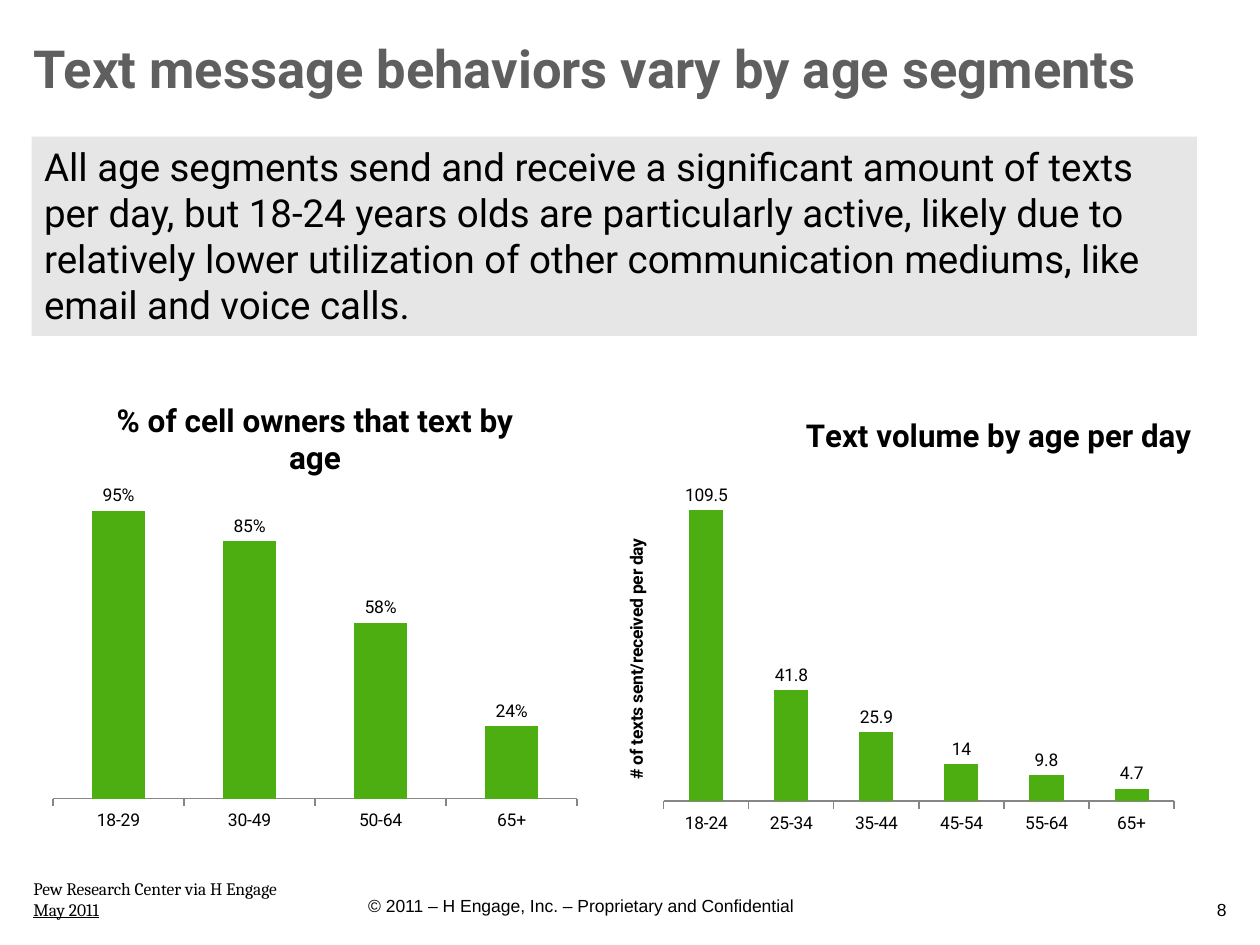
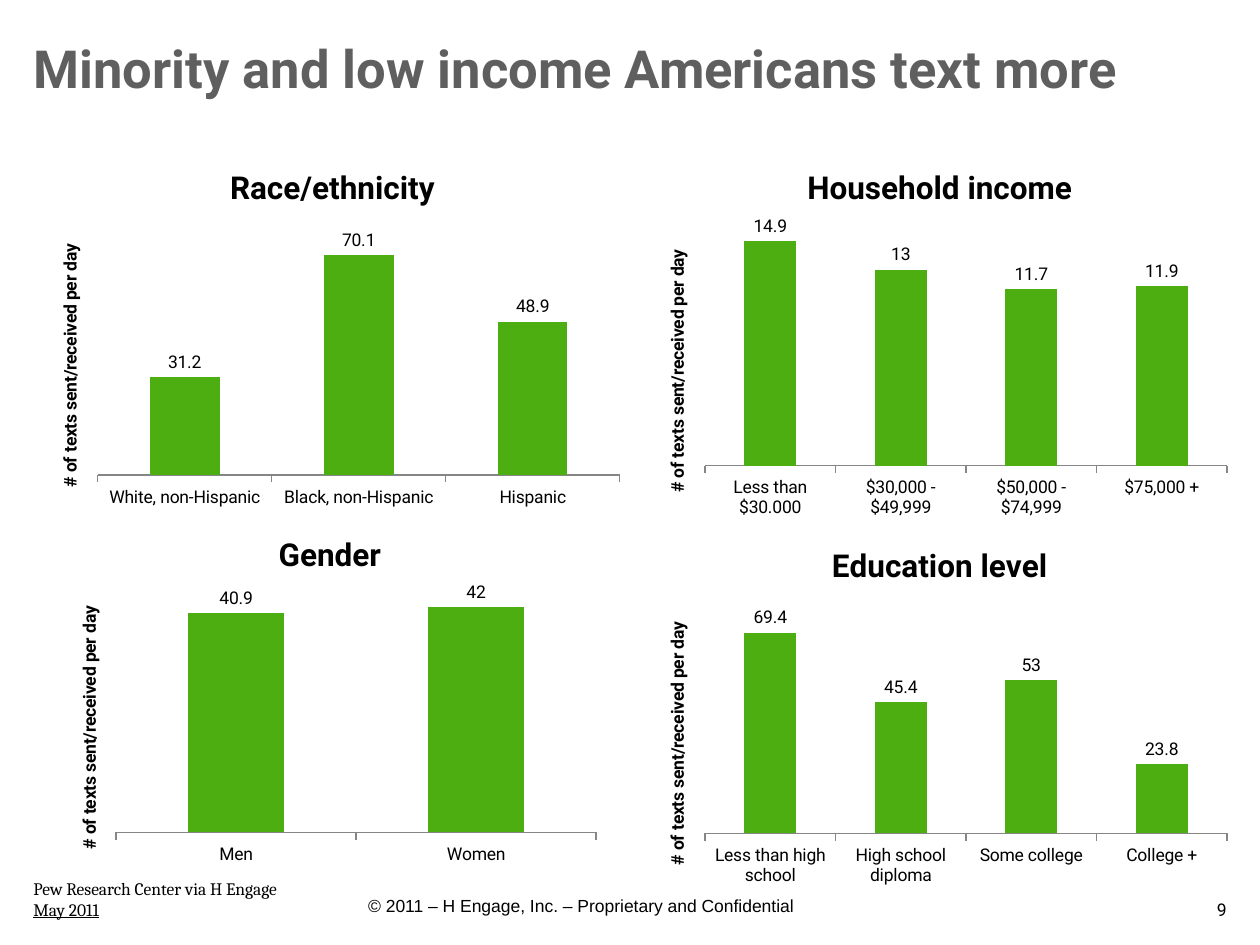
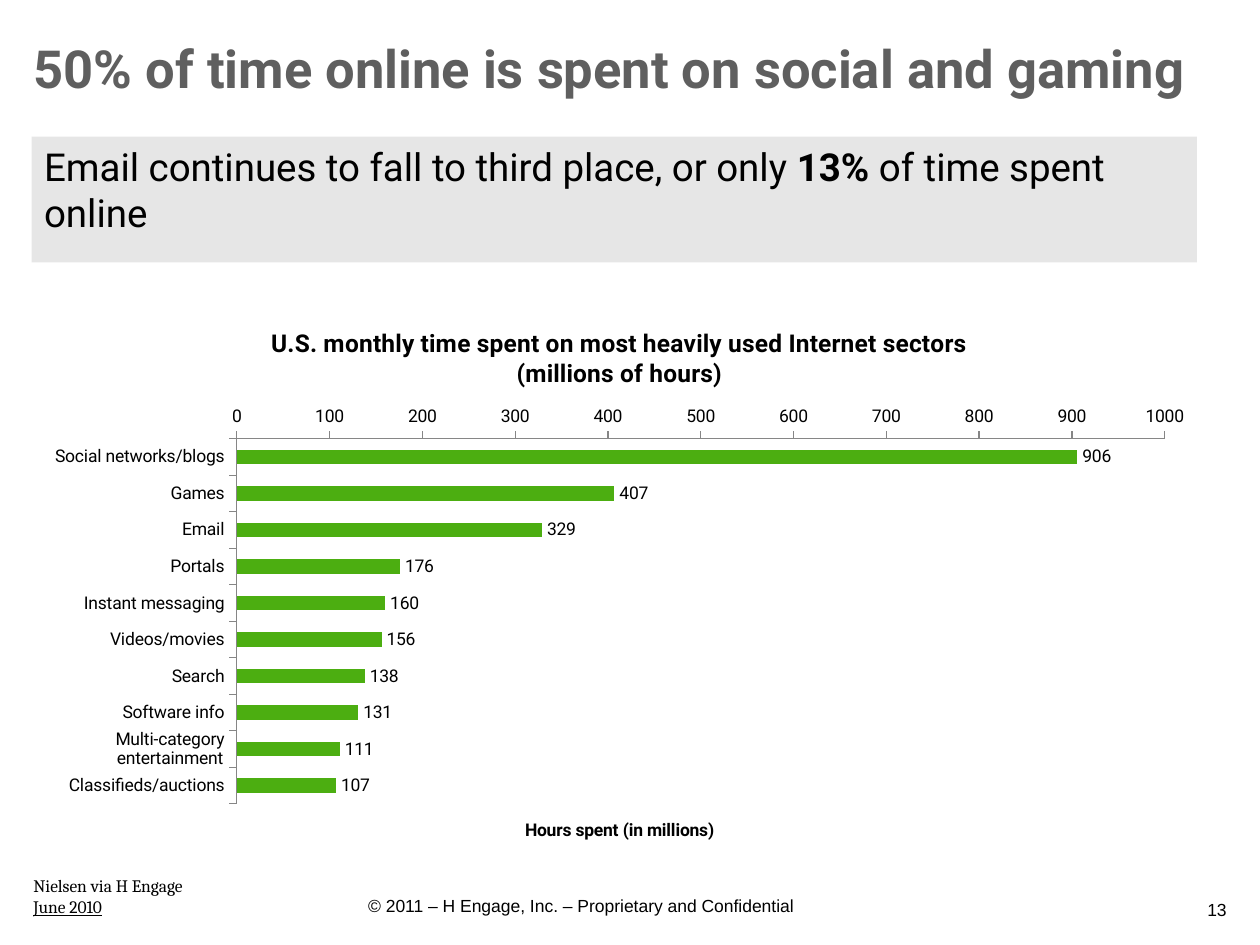
from dataclasses import dataclass
from typing import Optional

from lxml import etree
from pptx import Presentation
from pptx.chart.data import CategoryChartData
from pptx.dml.color import RGBColor
from pptx.enum import chart as ch, text
from pptx.oxml import ns
from pptx.util import Pt

BLACK = RGBColor(0x00, 0x00, 0x00)
TITLE_GRAY = RGBColor(0x5F, 0x5F, 0x5F)
BAND_GRAY = RGBColor(0xE6, 0xE6, 0xE6)
AXIS_GRAY = RGBColor(0x86, 0x86, 0x86)
GREEN = RGBColor(0x4C, 0xAE, 0x11)
ROBOTO, ARIAL, CAMBRIA = "Roboto", "Arial", "Cambria"
TITLE_ONLY, TITLE_AND_BODY = 5, 1
COPYRIGHT = "© 2011 – H Engage, Inc. – Proprietary and Confidential"
PEW = "Pew Research Center via H Engage\nMay 2011"
TEXTS_PER_DAY = "# of texts sent/received per day"


@dataclass(frozen=True)
class Box:
    x: float
    y: float
    w: float
    h: float

    def place(self, sp) -> None:
        sp.left, sp.top, sp.width, sp.height = self.lengths()

    def lengths(self) -> tuple:
        return Pt(self.x), Pt(self.y), Pt(self.w), Pt(self.h)


@dataclass(frozen=True)
class BarChart:
    box: Box
    title: str
    data: dict[str, float]
    axis_title: Optional[str] = TEXTS_PER_DAY
    title_size: int = 18
    number_format: str = "General"
    maximum: Optional[float] = None
    horizontal: bool = False
    title_at: Optional[dict[str, float]] = None
    plot_at: Optional[dict[str, float]] = None


@dataclass(frozen=True)
class Page:
    title: str
    number: str
    source: str
    charts: list[BarChart]
    number_font: str = ARIAL
    source_top: float = 498
    band_height: float = 0
    band: tuple[tuple[str, bool], ...] = ()


def style(font, name: str, size: float, color: RGBColor = BLACK, bold: bool = False) -> None:
    font.name, font.size, font.bold = name, Pt(size), bold
    font.color.rgb = color


def add_text(s, box: Box, content: str, font: str, align=text.PP_ALIGN.LEFT,
             anchor=text.MSO_ANCHOR.TOP, wrap: bool = True):
    sp = s.shapes.add_textbox(*box.lengths())
    tf = sp.text_frame
    tf.text = content
    tf.word_wrap = wrap
    tf.vertical_anchor = anchor
    for p in tf.paragraphs:
        p.alignment = align
        for r in p.runs:
            style(r.font, font, 10)
    return sp


def add_title(s, content: str) -> None:
    sp = s.shapes.title
    Box(12, 12, 696, 48).place(sp)
    tf = sp.text_frame
    tf.text = content
    tf.auto_size = text.MSO_AUTO_SIZE.NONE
    tf.vertical_anchor = text.MSO_ANCHOR.BOTTOM
    p = tf.paragraphs[0]
    p.alignment = text.PP_ALIGN.LEFT
    style(p.runs[0].font, ROBOTO, 30, TITLE_GRAY, True)


def add_band(s, page: Page) -> None:
    sp = s.placeholders[1]
    Box(18, 78, 666, page.band_height).place(sp)
    sp.fill.solid()
    sp.fill.fore_color.rgb = BAND_GRAY
    tf = sp.text_frame
    tf.auto_size = text.MSO_AUTO_SIZE.NONE
    tf.vertical_anchor = text.MSO_ANCHOR.TOP
    p = tf.paragraphs[0]
    pPr = p._p.get_or_add_pPr()
    pPr.set("marL", "0")
    pPr.set("indent", "0")
    etree.SubElement(pPr, ns.qn("a:buNone"))
    p.space_before = Pt(0)
    for content, bold in page.band:
        r = p.add_run()
        r.text = content
        style(r.font, ROBOTO, 22, bold=bold)


def set_layout(parent, values: dict[str, float], inner: bool = False) -> None:
    layout = parent.find(ns.qn("c:layout"))
    if layout is None:
        layout = etree.Element(ns.qn("c:layout"))
        parent.insert(0, layout)
    manual = etree.SubElement(layout, ns.qn("c:manualLayout"))
    settings = {"layoutTarget": "inner"} if inner else {}
    settings |= {"xMode": "edge", "yMode": "edge"} | values
    for tag, value in settings.items():
        etree.SubElement(manual, ns.qn(f"c:{tag}")).set("val", str(value))


def set_chart_text(tf, content: str, size: float) -> None:
    tf.text = content
    for p in tf.paragraphs:
        for r in p.runs:
            style(r.font, ROBOTO, size, bold=True)


def style_axis(axis) -> None:
    axis.has_major_gridlines = False
    axis.major_tick_mark = ch.XL_TICK_MARK.OUTSIDE
    axis.minor_tick_mark = ch.XL_TICK_MARK.NONE
    axis.format.line.color.rgb = AXIS_GRAY
    axis.format.line.width = Pt(0.75)
    style(axis.tick_labels.font, ROBOTO, 10)


def add_bar_chart(s, bar: BarChart) -> None:
    data = CategoryChartData(number_format=bar.number_format)
    data.categories = list(bar.data)
    data.add_series("Series 1", list(bar.data.values()))
    kind = ch.XL_CHART_TYPE.BAR_CLUSTERED if bar.horizontal else ch.XL_CHART_TYPE.COLUMN_CLUSTERED
    chart = s.shapes.add_chart(kind, *bar.box.lengths(), data).chart
    style(chart.font, ARIAL, 10)
    chart.has_legend = False
    chart.has_title = True
    set_chart_text(chart.chart_title.text_frame, bar.title, bar.title_size)
    chart.chart_title.include_in_layout = False

    plot = chart.plots[0]
    plot.gap_width = 150
    plot.vary_by_categories = False
    plot.has_data_labels = True
    labels = plot.data_labels
    labels.show_value = True
    labels.position = ch.XL_LABEL_POSITION.OUTSIDE_END
    labels.number_format = bar.number_format
    labels.number_format_is_linked = False
    style(labels.font, ROBOTO, 10)
    fill = plot.series[0].format.fill
    fill.solid()
    fill.fore_color.rgb = GREEN

    cat, val = chart.category_axis, chart.value_axis
    style_axis(cat)
    style_axis(val)
    val.minimum_scale = 0
    if bar.maximum:
        val.maximum_scale = bar.maximum
    if bar.axis_title:
        set_chart_text(val.axis_title.text_frame, bar.axis_title, 10)
    val.visible = bar.horizontal
    if bar.horizontal:
        cat.reverse_order = True
        cat.crosses = ch.XL_AXIS_CROSSES.MAXIMUM
        val.major_unit = 100
    if bar.title_at:
        set_layout(chart.chart_title.element, bar.title_at)
    if bar.plot_at:
        set_layout(chart.element.find(".//" + ns.qn("c:plotArea")), bar.plot_at, inner=True)


def add_page(prs, page: Page) -> None:
    s = prs.slides.add_slide(prs.slide_layouts[TITLE_AND_BODY if page.band else TITLE_ONLY])
    add_text(s, Box(148.3, 503.3, 367.2, 28.8), COPYRIGHT, ARIAL,
             text.PP_ALIGN.CENTER, text.MSO_ANCHOR.MIDDLE)
    add_title(s, page.title)
    add_text(s, Box(540, 510, 168, 18), page.number, page.number_font, text.PP_ALIGN.RIGHT)
    source = add_text(s, Box(12, page.source_top, 170, 31.7), page.source, CAMBRIA, wrap=False)
    source.text_frame.paragraphs[1].runs[0].font.underline = True
    for bar in page.charts:
        add_bar_chart(s, bar)
    if page.band:
        add_band(s, page)


PAGES = [
    Page(
        "Text message behaviors vary by age segments", "8", PEW,
        [
            BarChart(
                Box(342, 234, 342, 246), "Text volume by age per day",
                {"18-24": 109.5, "25-34": 41.8, "35-44": 25.9,
                 "45-54": 14, "55-64": 9.8, "65+": 4.7},
                maximum=120, title_at={"x": 0.34, "y": 0},
                plot_at={"x": 0.11, "y": 0.17, "w": 0.86, "h": 0.74}),
            BarChart(
                Box(24, 216, 312, 264), "% of cell owners that text by age",
                {"18-29": 0.95, "30-49": 0.85, "50-64": 0.58, "65+": 0.24},
                axis_title=None, number_format="0%", maximum=1),
        ],
        band_height=114,
        band=(("All age segments send and receive a significant amount of texts per day, "
               "but 18-24 years olds are particularly active, likely due to relatively lower "
               "utilization of other communication mediums, like email and voice calls.", False),),
    ),
    Page(
        "Minority and low income Americans text more", "9", PEW,
        [
            BarChart(Box(30, 294, 317, 204), "Gender",
                     {"Men": 40.9, "Women": 42}, maximum=45),
            BarChart(Box(19, 84, 342, 210), "Race/ethnicity",
                     {"White, non-Hispanic": 31.2, "Black, non-Hispanic": 70.1,
                      "Hispanic": 48.9}),
            BarChart(Box(366, 84, 342, 216), "Household income",
                     {"Less than $30.000": 14.9, "$30,000 - $49,999": 13,
                      "$50,000 - $74,999": 11.7, "$75,000 +": 11.9}),
            BarChart(Box(366, 300, 342, 210), "Education level",
                     {"Less than high school": 69.4, "High school diploma": 45.4,
                      "Some college": 53, "College +": 23.8}),
        ],
        number_font=ROBOTO,
    ),
    Page(
        "50% of time online is spent on social and gaming", "13",
        "Nielsen via H Engage\nJune 2010",
        [
            BarChart(
                Box(18, 174, 672, 321),
                "U.S. monthly time spent on most heavily used Internet sectors\n"
                "(millions of hours)",
                {"Social networks/blogs": 906, "Games": 407, "Email": 329, "Portals": 176,
                 "Instant messaging": 160, "Videos/movies": 156, "Search": 138,
                 "Software info": 131, "Multi-category entertainment": 111,
                 "Classifieds/auctions": 107},
                axis_title="Hours spent (in millions)", title_size=14,
                maximum=1000, horizontal=True),
        ],
        source_top=496.5,
        band_height=72,
        band=(("Email continues to fall to third place, or only ", False),
              ("13% ", True), ("of time spent online", False)),
    ),
]


def main() -> None:
    prs = Presentation()
    prs.slide_width, prs.slide_height = Pt(720), Pt(540)
    for page in PAGES:
        add_page(prs, page)
    prs.save("out.pptx")


if __name__ == "__main__":
    main()
